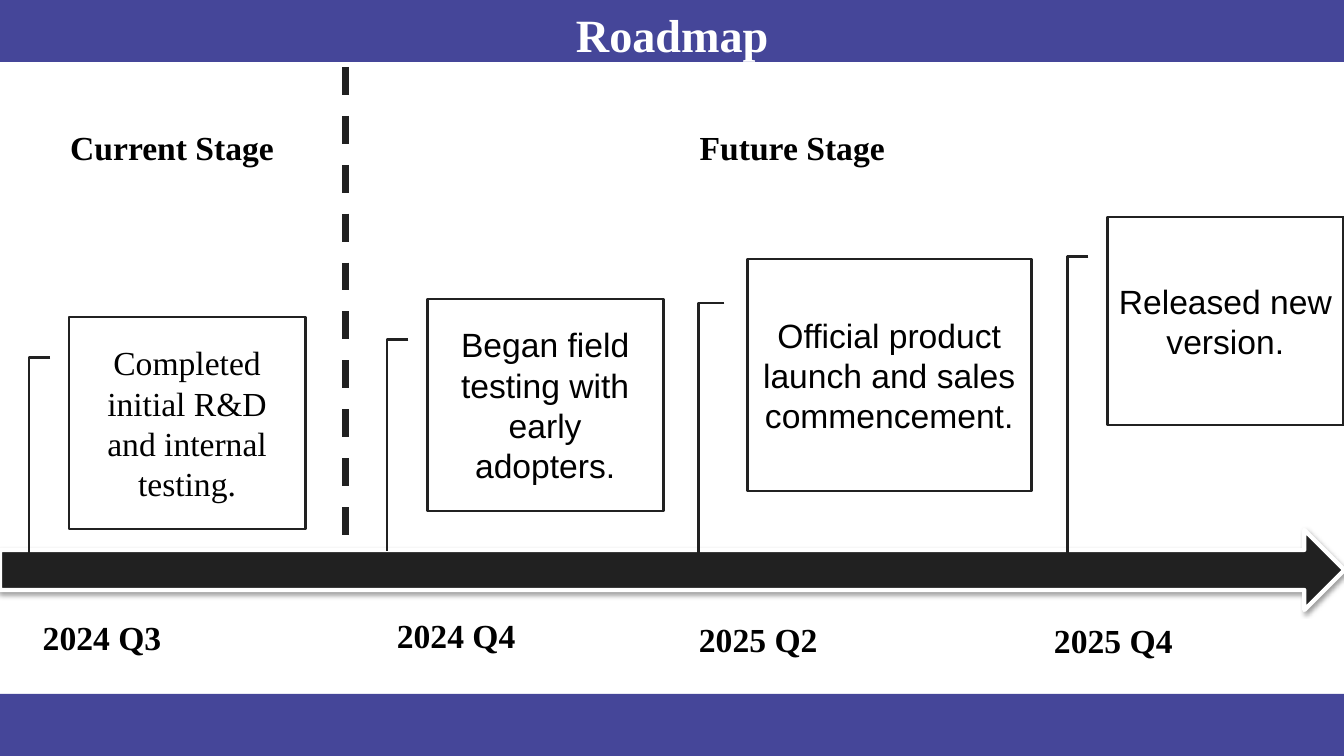
from lxml import etree
from pptx import Presentation
from pptx import util as u
from pptx.dml.color import RGBColor
from pptx.enum import dml, shapes, text
from pptx.oxml.ns import qn

PX = 914400 / 100.8
COLORS = {"band": "454699", "ink": "212121", "white": "FFFFFF", "black": "000000"}
SERIF, SANS = "Times New Roman", "Arial"
WIDTH, HEIGHT = 1344, 756

deck = Presentation()
deck.slide_width, deck.slide_height = u.Inches(13.33), u.Inches(7.5)
page = deck.slides.add_slide(deck.slide_layouts[6])


def add_block(preset, bounds, fill, line=None, points=0):
    block = page.shapes.add_shape(preset, *(u.Emu(round(n * PX)) for n in bounds))
    block.shadow.inherit = False
    block.fill.solid()
    block.fill.fore_color.rgb = RGBColor.from_string(COLORS[fill])
    if line:
        block.line.color.rgb = RGBColor.from_string(COLORS[line])
        block.line.width = u.Pt(points)
    else:
        block.line.fill.background()
    return block


def write(frame, words, size, font, color, bold=False):
    """Fill a text frame with one centred paragraph."""
    para = frame.paragraphs[0]
    para.text = words
    para.alignment = text.PP_ALIGN.CENTER
    para.font.size, para.font.name, para.font.bold = u.Pt(size), font, bold
    para.font.color.rgb = RGBColor.from_string(COLORS[color])


# Header and footer bands
for top in (0, HEIGHT - 62):
    add_block(shapes.MSO_SHAPE.RECTANGLE, (0, top, WIDTH, 62), "band")

title = page.shapes.add_textbox(*(u.Emu(round(n * PX)) for n in (0, 1, WIDTH, 66)))
title.text_frame.word_wrap = True
title.text_frame.auto_size = text.MSO_AUTO_SIZE.SHAPE_TO_FIT_TEXT
write(title.text_frame, "Roadmap", 33, SERIF, "white", True)

# Timeline arrow with a soft shadow below it
timeline = add_block(shapes.MSO_SHAPE.RIGHT_ARROW, (0, 530, WIDTH, 80), "ink", "white", 3)
effects = timeline._element.spPr.find(qn("a:effectLst"))
shadow = etree.SubElement(effects, qn("a:outerShdw"), blurRad=str(u.Pt(3.1)),
                          dist=str(u.Pt(1.6)), dir="5400000", rotWithShape="0")
shade = etree.SubElement(shadow, qn("a:srgbClr"), val=COLORS["black"])
etree.SubElement(shade, qn("a:alpha"), val="38000")

# Milestones: bounds, how far down the leader reaches, font, wording
milestones = [
    ((69, 317, 236, 212), 1.14, SERIF, "Completed initial R&D and internal testing."),
    ((427, 299, 236, 212), 1.19, SANS, "Began field testing with early adopters."),
    ((747, 259, 284, 232), 1.3, SANS, "Official product launch and sales commencement."),
    ((1107, 217, 236, 208), 1.72, SANS, "Released new version."),
]
for bounds, reach, font, words in milestones:
    callout = add_block(shapes.MSO_SHAPE.LINE_CALLOUT_2, bounds, "white", "ink", 2)
    for index, value in enumerate((0.19, -0.08, 0.19, -0.17, reach, -0.17)):
        callout.adjustments[index] = value
    callout.text_frame.word_wrap = True
    callout.text_frame.vertical_anchor = text.MSO_ANCHOR.MIDDLE
    write(callout.text_frame, words, 24, font, "black")

# Dashed divider between the stages
divider = page.shapes.add_connector(
    shapes.MSO_CONNECTOR.STRAIGHT, *(u.Emu(round(n * PX)) for n in (345, 67, 345, 570)))
divider.line.color.rgb = RGBColor.from_string(COLORS["ink"])
divider.line.width = u.Pt(5)
divider.line.dash_style = dml.MSO_LINE.DASH
etree.SubElement(divider._element.spPr, qn("a:effectLst"))

# Stage headings and dates
labels = [
    (59, 122, 226, "Current Stage"),
    (688, 122, 208, "Future Stage"),
    (32, 612, 140, "2024 Q3"),
    (386, 610, 140, "2024 Q4"),
    (688, 614, 140, "2025 Q2"),
    (1043, 615, 140, "2025 Q4"),
]
for left, top, width, words in labels:
    label = page.shapes.add_textbox(*(u.Emu(round(n * PX)) for n in (left, top, width, 50)))
    label.text_frame.word_wrap = False
    label.text_frame.auto_size = text.MSO_AUTO_SIZE.SHAPE_TO_FIT_TEXT
    write(label.text_frame, words, 24, SERIF, "black", True)

deck.save("out.pptx")
